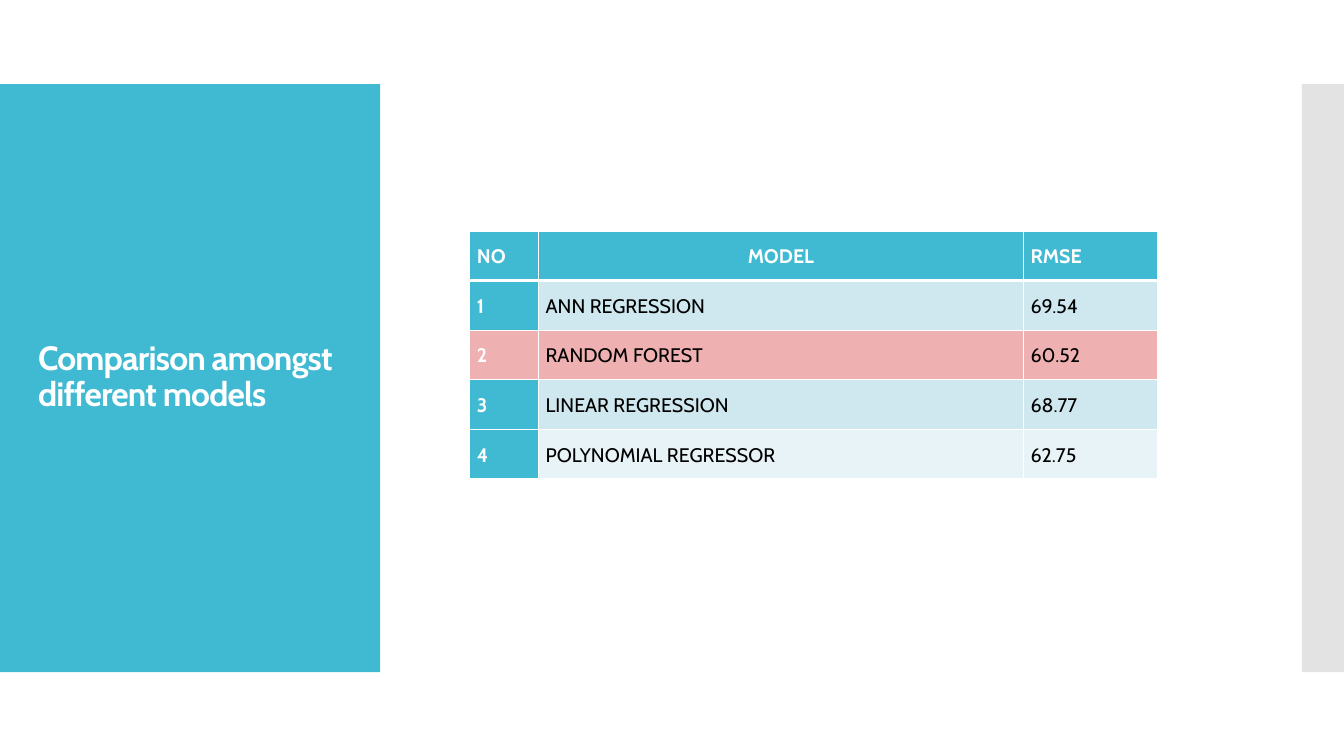
from dataclasses import dataclass

from lxml import etree
from pptx import Presentation
from pptx import util as u
from pptx.dml import color
from pptx.enum import shapes, text
from pptx.oxml import ns


@dataclass(frozen=True)
class Theme:
    font: str = "Cabin"
    head: float = 24
    body: float = 14
    teal: str = "40BAD2"
    gray: str = "C8C8C8"
    white: str = "FFFFFF"
    black: str = "000000"
    pale: str = "CFE7EE"
    light: str = "E8F3F7"
    rose: str = "EEB0B1"


@dataclass(frozen=True)
class Panel:
    left: float
    width: float
    fill: str
    alpha: int = 100


@dataclass(frozen=True)
class Row:
    cells: tuple[str, str, str]
    first: str
    rest: str
    head: bool = False


T = Theme()
PANELS = (Panel(0, 9.58, T.teal), Panel(32.81, 1.06, T.gray, 50))
COLS = (1.73, 12.22, 3.38)
HIGH = 1.25
ROWS = (
    Row(("NO", "MODEL", "RMSE"), T.teal, T.teal, True),
    Row(("1", "ANN REGRESSION", "69.54"), T.teal, T.pale),
    Row(("2", "RANDOM FOREST", "60.52"), T.rose, T.rose),
    Row(("3", "LINEAR REGRESSION", "68.77"), T.teal, T.pale),
    Row(("4", "POLYNOMIAL REGRESSOR", "62.75"), T.teal, T.light),
)


def paint(fill, tone: str) -> None:
    fill.solid()
    fill.fore_color.rgb = color.RGBColor.from_string(tone)


def write(para, words: str, size: float, tone: str, bold: bool):
    run = para.add_run()
    run.text = words
    run.font.name = T.font
    run.font.size = u.Pt(size)
    run.font.bold = bold
    run.font.color.rgb = color.RGBColor.from_string(tone)
    return run


def draw_panel(slide, panel: Panel) -> None:
    box = slide.shapes.add_shape(
        shapes.MSO_SHAPE.RECTANGLE,
        u.Cm(panel.left), u.Cm(2.12), u.Cm(panel.width), u.Cm(14.82))
    box.shadow.inherit = False
    box.line.fill.background()
    paint(box.fill, panel.fill)
    if panel.alpha < 100:
        tone = box.element.spPr.find(".//" + ns.qn("a:srgbClr"))
        etree.SubElement(tone, ns.qn("a:alpha"), val=str(panel.alpha * 1000))


def draw_title(slide, words: str) -> None:
    box = slide.shapes.add_textbox(u.Cm(0.71), u.Cm(3.12), u.Cm(8.18), u.Cm(12.78))
    frame = box.text_frame
    frame.word_wrap = True
    frame.vertical_anchor = text.MSO_ANCHOR.MIDDLE
    para = frame.paragraphs[0]
    para.line_spacing = 0.9
    run = write(para, words, T.head, T.white, True)
    run.font._element.set("spc", "-60")


def edge(cell, widths: dict[str, float]) -> None:
    props = cell._tc.get_or_add_tcPr()
    for spot, (side, width) in enumerate(widths.items()):
        line = etree.Element(ns.qn("a:ln" + side), w=str(u.Pt(width)))
        fill = etree.SubElement(line, ns.qn("a:solidFill"))
        etree.SubElement(fill, ns.qn("a:srgbClr"), val=T.white)
        props.insert(spot, line)


def draw_cell(cell, row: Row, col: int, top: float) -> None:
    key = row.head or col == 0
    cell.vertical_anchor = text.MSO_ANCHOR.MIDDLE
    cell.margin_left = cell.margin_right = u.Cm(0.18)
    cell.margin_top = cell.margin_bottom = 0
    paint(cell.fill, row.rest if col else row.first)
    para = cell.text_frame.paragraphs[0]
    para.line_spacing = 1.07
    para.space_after = u.Pt(8)
    if row.head and col == 1:
        para.alignment = text.PP_ALIGN.CENTER
    write(para, row.cells[col], T.body, T.white if key else T.black, key)
    edge(cell, {"L": 1, "R": 1, "T": top, "B": 3 if row.head else 1})


def draw_table(slide, rows: tuple[Row, ...]) -> None:
    table = slide.shapes.add_table(
        len(rows), len(COLS), u.Cm(11.84), u.Cm(5.82),
        u.Cm(sum(COLS)), u.Cm(HIGH * len(rows))).table
    for col, width in enumerate(COLS):
        table.columns[col].width = u.Cm(width)
    for num, row in enumerate(rows):
        table.rows[num].height = u.Cm(HIGH)
        for col in range(len(COLS)):
            draw_cell(table.cell(num, col), row, col, 3 if num == 1 else 1)


def main() -> None:
    """Build the slide that compares the models by RMSE."""
    deck = Presentation()
    deck.slide_width, deck.slide_height = u.Cm(33.87), u.Cm(19.05)
    slide = deck.slides.add_slide(deck.slide_layouts[6])
    for panel in PANELS:
        draw_panel(slide, panel)
    draw_title(slide, "Comparison amongst different models")
    draw_table(slide, ROWS)
    deck.save("out.pptx")


if __name__ == "__main__":
    main()
